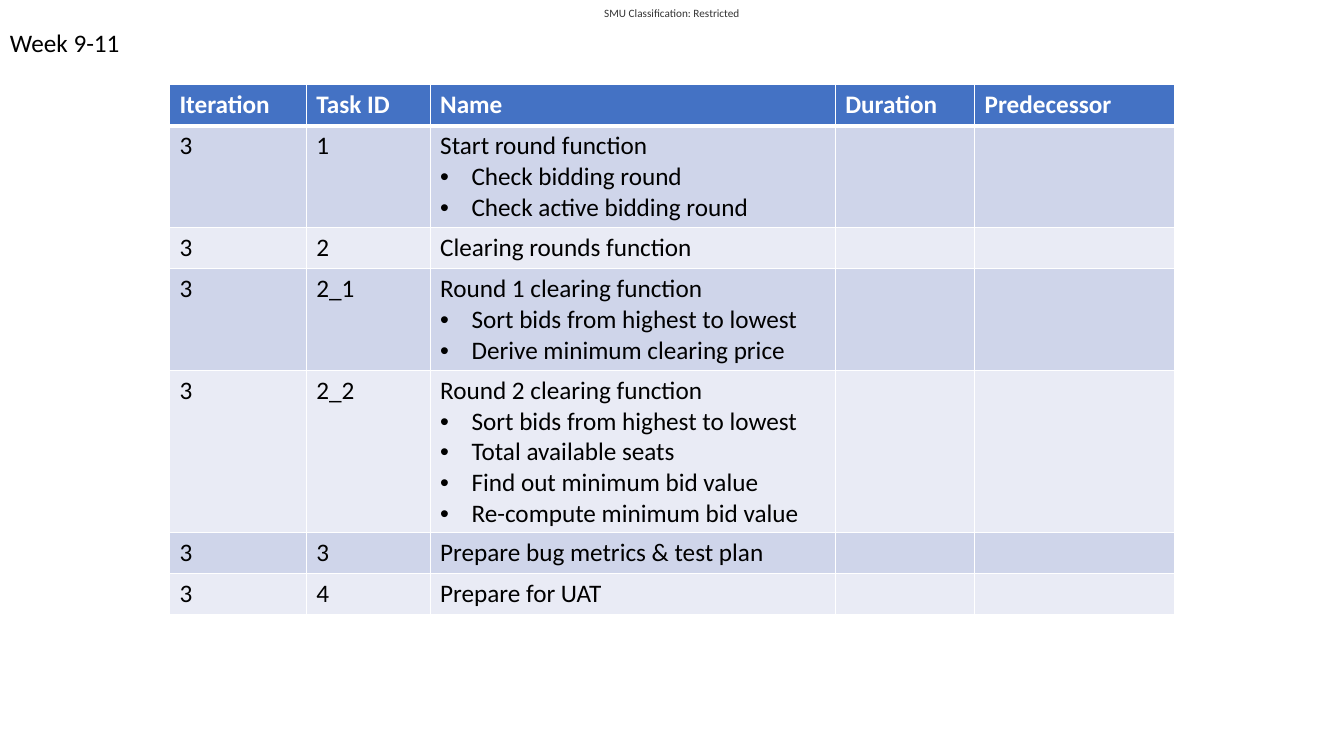
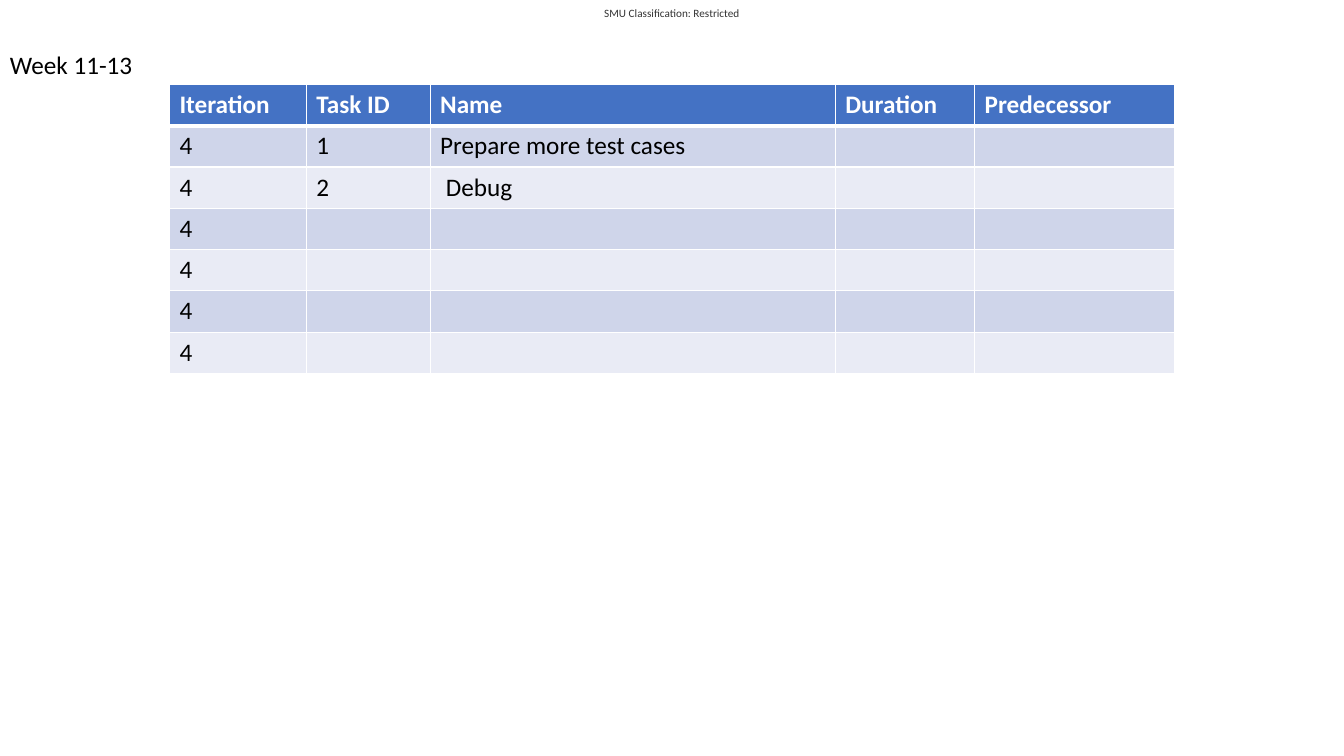
from dataclasses import dataclass

from lxml import etree
from pptx import Presentation
from pptx import util as u
from pptx.dml import color as dml
from pptx.enum import text as tx
from pptx.oxml import ns


@dataclass(frozen=True)
class Theme:
    font: str = "Calibri"
    head: str = "4472C4"
    bands: tuple = ("CFD5EA", "E9EBF5")
    white: str = "FFFFFF"
    ink: str = "000000"
    grey: str = "333333"
    body: int = 18
    small: int = 8
    thin: int = 1
    thick: int = 3


T = Theme()
WIDE, TALL = u.Cm(33.87), u.Cm(19.05)
LABEL = "SMU Classification: Restricted"
HEADS = ("Iteration", "Task ID", "Name", "Duration", "Predecessor")
COLS = (3.45, 3.12, 10.21, 3.51, 5.05)
ROW, STEP = 1.04, 0.76  # height of a one-line row, and of each further line
GRID = (u.Cm(4.27), u.Cm(2.13))

# Each task: ID, name, then its bullet points
WEEKS = (
    ("Week 9-11", 0.56, "3", (
        ("1", "Start round function",
         "Check bidding round", "Check active bidding round"),
        ("2", "Clearing rounds function"),
        ("2_1", "Round 1 clearing function",
         "Sort bids from highest to lowest", "Derive minimum clearing price"),
        ("2_2", "Round 2 clearing function",
         "Sort bids from highest to lowest", "Total available seats",
         "Find out minimum bid value", "Re-compute minimum bid value"),
        ("3", "Prepare bug metrics & test plan"),
        ("4", "Prepare for UAT"),
    )),
    ("Week 11-13", 1.12, "4", (
        ("1", "Prepare more test cases"),
        ("2", " Debug"),
    ) + (("", ""),) * 4),
)


def rgb(code):
    return dml.RGBColor.from_string(code)


def add(parent, tag, **attrs):
    return etree.SubElement(parent, ns.qn(tag), **attrs)


def dot(para):
    """Give a paragraph a hanging bullet."""
    props = para._p.get_or_add_pPr()
    hang = u.Cm(0.79)
    props.set("marL", str(hang))
    props.set("indent", str(-hang))
    add(props, "a:buFont", typeface="Arial")
    add(props, "a:buChar", char="•")


def put(frame, lines, size=T.body, color=T.ink, bold=False, align=None):
    """Write lines into a frame; lines after the first are bullets."""
    for i, line in enumerate(lines):
        para = frame.add_paragraph() if i else frame.paragraphs[0]
        if i:
            dot(para)
        if align is not None:
            para.alignment = align
        if line:
            run = para.add_run()
            run.text = line
            font = run.font
            font.name, font.size, font.bold = T.font, u.Pt(size), bold
            font.color.rgb = rgb(color)


def edge(cell, **sides):
    """Draw white cell borders, with widths in points by side."""
    props = cell._tc.get_or_add_tcPr()
    for side in "LRTB":
        line = add(props, "a:ln" + side, w=str(u.Pt(sides.get(side, T.thin))))
        add(add(line, "a:solidFill"), "a:srgbClr", val=T.white)


def label(slide):
    """Classification line, centred at the top."""
    wide = u.Cm(4.14)
    box = slide.shapes.add_textbox((WIDE - wide) // 2, 0, wide, u.Cm(0.64))
    frame = box.text_frame
    frame.word_wrap = False
    frame.margin_top = frame.margin_bottom = 0
    frame.vertical_anchor = tx.MSO_ANCHOR.MIDDLE
    put(frame, [LABEL], size=T.small, color=T.grey, align=tx.PP_ALIGN.CENTER)


def title(slide, words, top):
    """Week heading at the left edge."""
    box = slide.shapes.add_textbox(0, u.Cm(top), u.Cm(4.5), u.Cm(1.03))
    box.text_frame.word_wrap = True
    put(box.text_frame, [words])


def plan(slide, left, top, turn, tasks):
    """Task table with a header and banded rows."""
    rows = [[[head] for head in HEADS]]
    rows += [[[turn], [key], names, [], []] for key, *names in tasks]
    highs = [u.Cm(ROW + STEP * (max(map(len, row)) - 1)) for row in rows]
    wides = [u.Cm(col) for col in COLS]
    grid = slide.shapes.add_table(len(rows), len(COLS), left, top,
                                  sum(wides), sum(highs)).table
    grid.horz_banding = False
    for col, wide in zip(grid.columns, wides):
        col.width = wide
    for r, row in enumerate(rows):
        grid.rows[r].height = highs[r]
        for c, lines in enumerate(row):
            cell = grid.cell(r, c)
            edge(cell, T=T.thick if r == 1 else T.thin,
                 B=T.thin if r else T.thick)
            cell.fill.solid()
            cell.fill.fore_color.rgb = rgb(T.bands[(r - 1) % 2] if r else T.head)
            put(cell.text_frame, lines, bold=not r,
                color=T.ink if r else T.white)


def main():
    deck = Presentation()
    deck.slide_width, deck.slide_height = WIDE, TALL
    for words, top, turn, tasks in WEEKS:
        slide = deck.slides.add_slide(deck.slide_layouts[6])
        label(slide)
        plan(slide, *GRID, turn, tasks)
        title(slide, words, top)
    deck.save("out.pptx")


if __name__ == "__main__":
    main()
